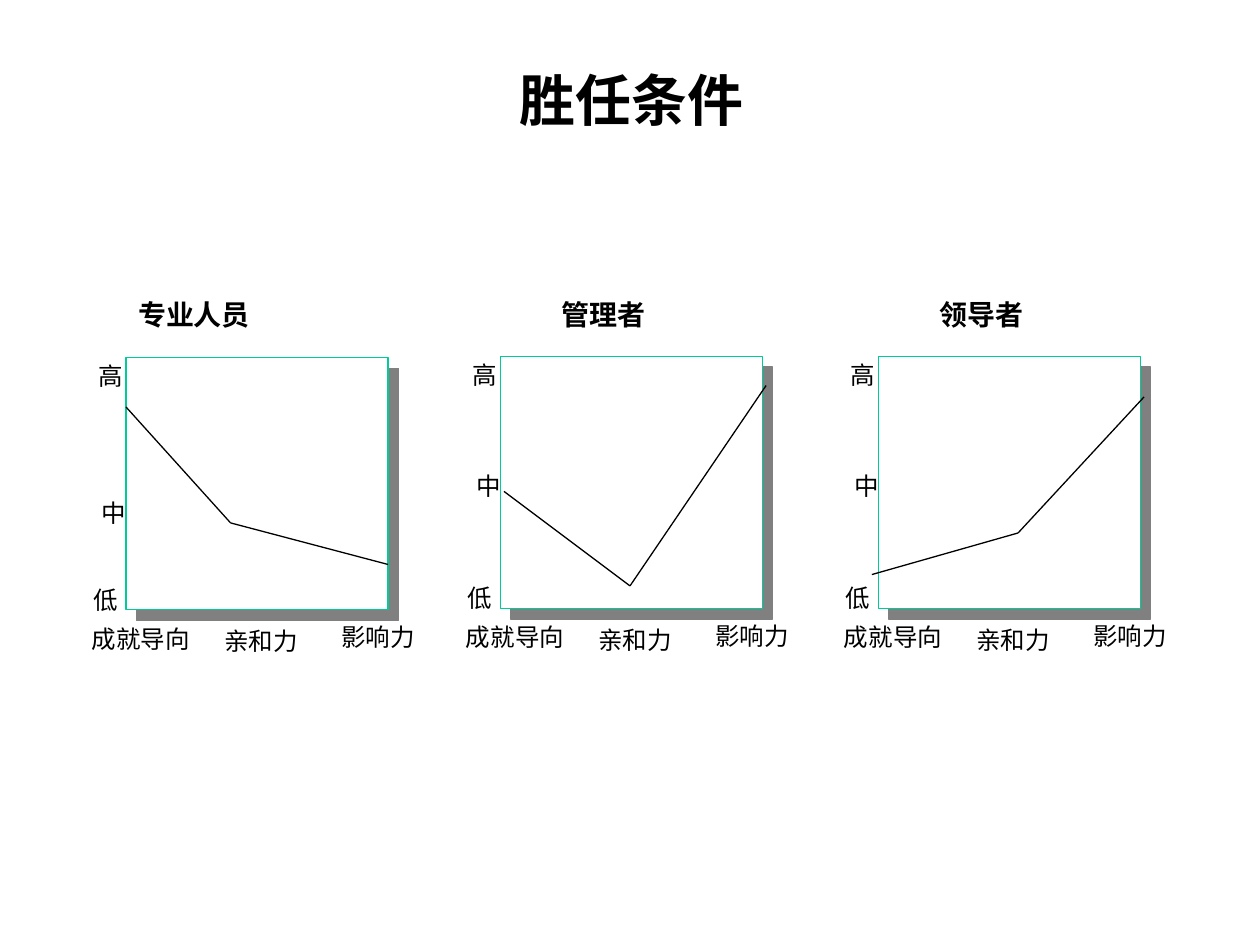
"""Build a slide comparing competency profiles of three roles."""
from itertools import pairwise

from lxml.etree import SubElement
from pptx import Presentation
from pptx.dml.color import RGBColor
from pptx.enum.shapes import MSO_CONNECTOR, MSO_SHAPE
from pptx.enum.text import MSO_ANCHOR, MSO_AUTO_SIZE, PP_ALIGN
from pptx.oxml.ns import qn
from pptx.util import Inches, Pt

TITLE = "胜任条件"
PANELS = [
    {"name": "专业人员", "left": 1, "top": 2.84, "name_left": 0.75, "middle": 3.9,
     "points": [(1, 3.23), (1.83, 4.15), (3.08, 4.48)]},
    {"name": "管理者", "left": 3.97, "top": 2.83, "name_left": 4, "middle": 3.69,
     "points": [(4, 3.9), (5, 4.65), (6.08, 3.06)]},
    {"name": "领导者", "left": 6.97, "top": 2.83, "name_left": 7, "middle": 3.69,
     "points": [(6.92, 4.56), (8.08, 4.23), (9.08, 3.15)]},
]
COMPETENCIES = [("成就导向", -0.37, 2.06), ("亲和力", 0.68, 2.08), ("影响力", 1.61, 2.05)]
FRAME_WIDTH, FRAME_HEIGHT = 2.08, 2
NAME_TOP = 2.31
FONT = "Noto Sans CJK SC"
BLACK = RGBColor(0x00, 0x00, 0x00)
WHITE = RGBColor(0xFF, 0xFF, 0xFF)
GREEN = RGBColor(0x00, 0xCC, 0x99)
GRAY = RGBColor(0x80, 0x80, 0x80)


def write(sp, text, size, bold=False, align=PP_ALIGN.LEFT):
    tf = sp.text_frame
    tf.text = text
    tf.word_wrap = True
    p = tf.paragraphs[0]
    p.alignment = align
    r = p.runs[0]
    r.font.name, r.font.size, r.font.bold = FONT, Pt(size), bold
    r.font.color.rgb = BLACK
    SubElement(r.font._element, qn("a:ea"), typeface=FONT)


def add_label(shapes, text, left, top, width, height=0.34, **style):
    sp = shapes.add_textbox(Inches(left), Inches(top), Inches(width), Inches(height))
    write(sp, text, **{"size": 14, **style})


def add_frame(shapes, left, top):
    sp = shapes.add_shape(MSO_SHAPE.RECTANGLE, Inches(left), Inches(top),
                          Inches(FRAME_WIDTH), Inches(FRAME_HEIGHT))
    sp.fill.solid()
    sp.fill.fore_color.rgb = WHITE
    sp.line.color.rgb = GREEN
    sp.line.width = Pt(0.75)
    sp.shadow.inherit = False
    effects = sp._element.spPr.find(qn("a:effectLst"))
    shadow = SubElement(effects, qn("a:outerShdw"), blurRad="0", dist=str(Pt(8.5)),
                        dir=str(45 * 60000), algn="tl", rotWithShape="0")
    SubElement(shadow, qn("a:srgbClr"), val=str(GRAY))


def add_segment(shapes, start, end):
    line = shapes.add_connector(MSO_CONNECTOR.STRAIGHT, *map(Inches, start + end))
    line.line.color.rgb = BLACK
    line.line.width = Pt(0.75)
    SubElement(line._element.spPr, qn("a:effectLst"))


def add_panel(s, panel):
    shapes = s.shapes.add_group_shape().shapes
    left, top = panel["left"], panel["top"]
    add_label(shapes, panel["name"], panel["name_left"], NAME_TOP, 1.58, 0.37,
              size=16, bold=True, align=PP_ALIGN.CENTER)
    for text, dx, dy in COMPETENCIES:
        add_label(shapes, text, left + dx, top + dy, 1)
    levels = [("高", -0.32, top - 0.02), ("中", -0.29, panel["middle"]), ("低", -0.36, top + 1.75)]
    for text, dx, y in levels:
        add_label(shapes, text, left + dx, y, 0.42)
    add_frame(shapes, left, top)
    for start, end in pairwise(panel["points"]):
        add_segment(shapes, start, end)


def main():
    prs = Presentation()
    prs.slide_width, prs.slide_height = Inches(10), Inches(7.5)
    s = prs.slides.add_slide(prs.slide_layouts[5])
    title = s.shapes.title
    title.left, title.top, title.width, title.height = map(Inches, (2.9, 0.47, 4.22, 0.63))
    write(title, TITLE, 32, True, PP_ALIGN.CENTER)
    title.text_frame.vertical_anchor = MSO_ANCHOR.MIDDLE
    title.text_frame.auto_size = MSO_AUTO_SIZE.NONE
    for panel in PANELS:
        add_panel(s, panel)
    prs.save("out.pptx")


if __name__ == "__main__":
    main()
